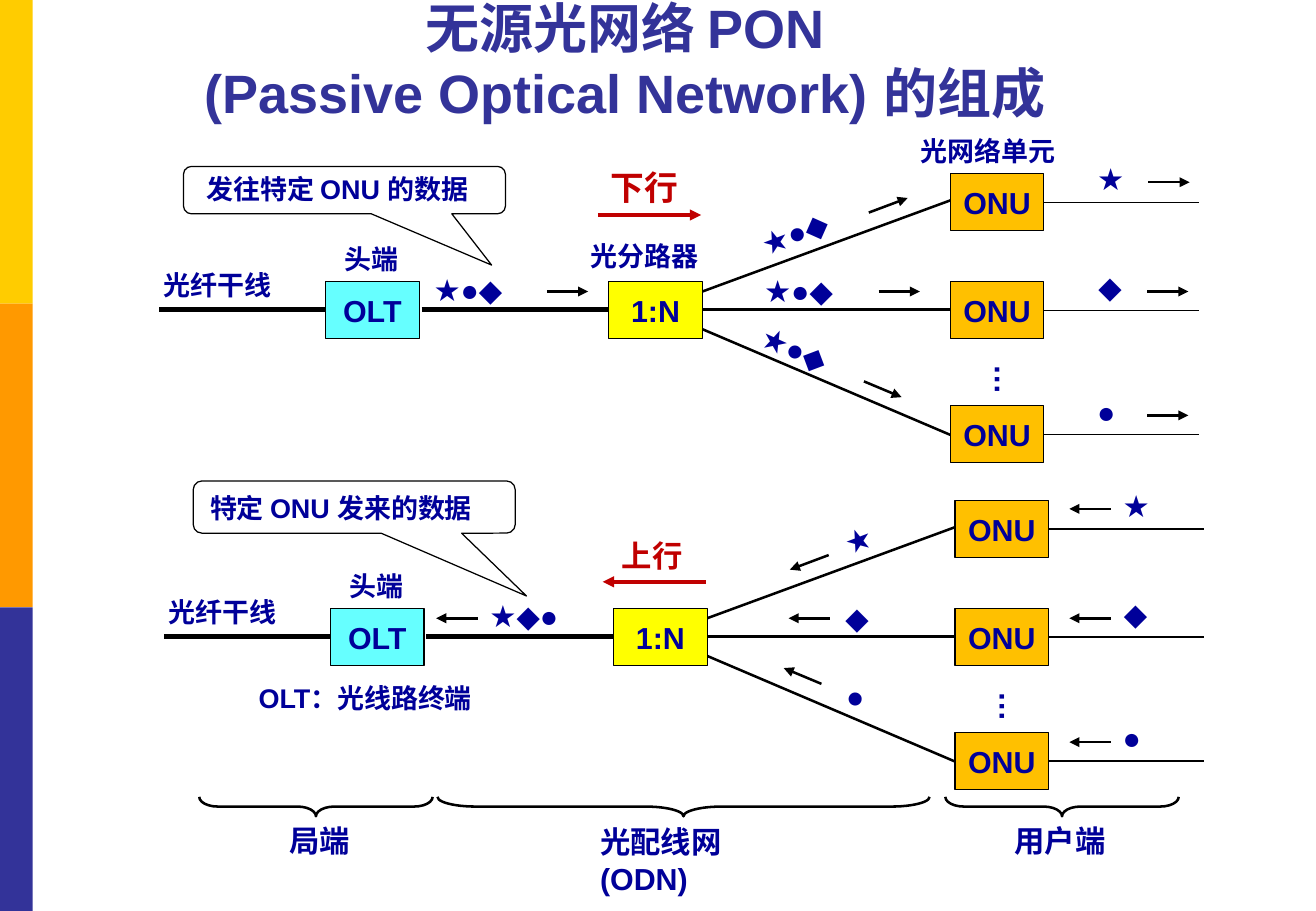
from pptx import Presentation
from pptx.dml.color import RGBColor
from pptx.enum.shapes import MSO_CONNECTOR, MSO_SHAPE
from pptx.enum.text import MSO_ANCHOR, PP_ALIGN
from pptx.oxml.ns import qn
from pptx.util import Inches, Pt
from lxml import etree

RECT = MSO_SHAPE.RECTANGLE
CALLOUT = MSO_SHAPE.ROUNDED_RECTANGULAR_CALLOUT
BRACE = MSO_SHAPE.LEFT_BRACE
STRAIGHT = MSO_CONNECTOR.STRAIGHT
TOP, MIDDLE, BOTTOM = MSO_ANCHOR.TOP, MSO_ANCHOR.MIDDLE, MSO_ANCHOR.BOTTOM
LEFT, CENTER = PP_ALIGN.LEFT, PP_ALIGN.CENTER
COLORS = {
    "gold": "FFCC00", "orange": "FF9900", "indigo": "333399", "navy": "000099",
    "black": "000000", "red": "C00000", "cyan": "66FFFF", "yellow": "FFFF00",
    "amber": "FFC000",
}
NODE_W, NODE_H = 0.77, 0.47
OLT_X, SPLITTER_X, ONU_X = 1.37, 3.7, 6.51
ONU_ROWS = (0, 0.89, 1.91)
TRUNK_Y = 1.12

DOWNSTREAM = {
    "callout": (0.2, -0.06, 0.39, (0.457, 1.582, 0.167)),
    "message": ("发往特定 ONU 的数据", 0.29, -0.06),
    "direction": ("下行", 3.62, -0.11, 20),
    "direction_arrow": (3.61, 0.34, 4.46, 0.34),
    "packets": [
        ("★●◆", 2.16, 0.75, 0), ("★●◆", 4.88, 0.76, 0),
        ("★●◆", 4.84, 1.28, 24.4), ("★●◆", 4.84, 0.25, 339),
        ("★", 7.62, -0.16, 0), ("◆", 7.63, 0.73, 0), ("●", 7.62, 1.76, 0),
    ],
    "arrows": [
        (3.19, 0.97, 3.53, 0.97), (5.84, 0.32, 6.16, 0.2),
        (5.92, 0.97, 6.26, 0.97), (5.8, 1.71, 6.11, 1.84),
        (8.14, 0.07, 8.48, 0.07), (8.13, 0.97, 8.47, 0.97),
        (8.13, 1.99, 8.47, 1.99),
    ],
    "labels": [("光分路器", 3.45, 0.49, None), ("光网络单元", 6.17, -0.37, None)],
}
UPSTREAM = {
    "callout": (0.24, -0.16, 0.43, (0.535, 1.704, 0.167)),
    "message": ("特定 ONU 发来的数据", 0.28, -0.12),
    "direction": ("上行", 3.67, 0.25, 18),
    "direction_arrow": (4.46, 0.67, 3.61, 0.67),
    "packets": [
        ("★◆●", 2.58, 0.75, 0), ("★", 5.5, 0.11, 339), ("◆", 5.51, 0.76, 0),
        ("●", 5.52, 1.44, 24.4),
        ("★", 7.79, -0.16, 0), ("◆", 7.8, 0.73, 0), ("●", 7.79, 1.75, 0),
    ],
    "arrows": [
        (2.58, 0.97, 2.24, 0.97), (5.47, 0.45, 5.15, 0.57),
        (5.48, 0.97, 5.14, 0.97), (5.41, 1.51, 5.1, 1.38),
        (7.79, 0.07, 7.45, 0.07), (7.79, 0.97, 7.45, 0.97),
        (7.79, 1.99, 7.45, 1.99),
    ],
    "labels": [("OLT：光线路终端", 0.68, 1.44, 2.25)],
}


def rgb(name):
    return RGBColor.from_string(COLORS[name])


def add_line(page, x1, y1, x2, y2, width, color="black", arrow=False):
    line = page.shapes.add_connector(
        STRAIGHT, Inches(x1), Inches(y1), Inches(x2), Inches(y2))
    line.line.color.rgb = rgb(color)
    line.line.width = Pt(width)
    if arrow:
        outline = line.line._get_or_add_ln()
        etree.SubElement(outline, qn("a:tailEnd"), type="triangle")
    etree.SubElement(line._element.spPr, qn("a:effectLst"))


def add_shape(page, kind, x, y, w, h, fill=None, line=None):
    shape = page.shapes.add_shape(kind, Inches(x), Inches(y), Inches(w), Inches(h))
    shape.shadow.inherit = False
    if fill:
        shape.fill.solid()
        shape.fill.fore_color.rgb = rgb(fill)
    else:
        shape.fill.background()
    if line:
        shape.line.color.rgb = rgb("black")
        shape.line.width = Pt(line)
    else:
        shape.line.fill.background()
    return shape


def write(box, lines, size, color="navy", align=LEFT, anchor=TOP, wrap=True):
    frame = box.text_frame
    frame.word_wrap = wrap
    frame.vertical_anchor = anchor
    for index, text in enumerate(lines):
        para = frame.add_paragraph() if index else frame.paragraphs[0]
        para.alignment = align
        span = para.add_run()
        span.text = text
        span.font.name = "Arial"
        span.font.size = Pt(size)
        span.font.bold = True
        span.font.color.rgb = rgb(color)


def add_label(page, text, x, y, size=16, width=None, color="navy", rotation=0):
    width = width or len(text) * size / 72 + 0.22
    height = size * 0.0167 + 0.1
    box = page.shapes.add_textbox(Inches(x), Inches(y), Inches(width), Inches(height))
    box.rotation = rotation
    write(box, [text], size, color)


def add_node(page, text, x, y, fill):
    node = add_shape(page, RECT, x, y, NODE_W, NODE_H, fill, 0.75)
    write(node, [text], 18, align=CENTER, anchor=MIDDLE, wrap=False)


def draw_side_bar(page, left, top, width, height):
    band = height / 3
    for index, color in enumerate(("gold", "orange", "indigo")):
        add_shape(page, RECT, left, top + index * band, width, band, color)


def draw_title(page, left, top, width, height):
    box = page.shapes.add_textbox(
        Inches(left), Inches(top), Inches(width), Inches(height))
    lines = ["无源光网络 PON", "(Passive Optical Network) 的组成"]
    write(box, lines, 32, "indigo", CENTER, BOTTOM)


def draw_network(page, left, top):
    trunk = top + TRUNK_Y
    add_line(page, left, trunk, left + OLT_X, trunk, 3)
    add_line(page, left + 2.16, trunk, left + SPLITTER_X, trunk, 3)
    for row, start, end in zip(ONU_ROWS, (0.97, TRUNK_Y, 1.28), (0.22, TRUNK_Y, 2.15)):
        add_line(page, left + SPLITTER_X + NODE_W, top + start,
                 left + ONU_X, top + end, 1.5)
        exit_y = top + row + NODE_H / 2
        add_line(page, left + ONU_X + NODE_W, exit_y, left + 8.56, exit_y, 0.75)
        add_node(page, "ONU", left + ONU_X, top + row, "amber")
    add_node(page, "OLT", left + OLT_X, top + ONU_ROWS[1], "cyan")
    add_node(page, "1:N", left + SPLITTER_X, top + ONU_ROWS[1], "yellow")
    add_label(page, "头端", left + 1.43, top + 0.52)
    add_label(page, "光纤干线", left - 0.06, top + 0.73)
    add_label(page, "…", left + 6.77, top + 1.48, 18, 0.41, rotation=90)


def draw_traffic(page, left, top, flow):
    x, y, height, adjustments = flow["callout"]
    bubble = add_shape(page, CALLOUT, left + x, top + y, 2.65, height, line=0.75)
    for index, value in enumerate(adjustments):
        bubble.adjustments[index] = value
    text, x, y = flow["message"]
    add_label(page, text, left + x, top + y, width=2.38)
    text, x, y, size = flow["direction"]
    add_label(page, text, left + x, top + y, size, color="red")
    x1, y1, x2, y2 = flow["direction_arrow"]
    add_line(page, left + x1, top + y1, left + x2, top + y2, 2.25, "red", True)
    for text, x, y, rotation in flow["packets"]:
        add_label(page, text, left + x, top + y, 18, rotation=rotation)
    for x1, y1, x2, y2 in flow["arrows"]:
        add_line(page, left + x1, top + y1, left + x2, top + y2, 1.5, arrow=True)
    for text, x, y, width in flow["labels"]:
        add_label(page, text, left + x, top + y, width=width)


def draw_sections(page, left, top):
    sections = [
        ("局端", 0, 1.92, 0.955, 0.64, 0.16, None),
        ("光配线网 (ODN)", 1.96, 4.05, 1.973, 3.2, 0.17, 1.95),
        ("用户端", 6.14, 1.92, 0.955, 6.61, 0.16, None),
    ]
    depth = 0.16
    for text, x, span, curve, label_x, label_y, width in sections:
        brace = add_shape(page, BRACE, left + x + (span - depth) / 2,
                          top + (depth - span) / 2, depth, span, line=1.5)
        brace.rotation = 270
        brace.adjustments[0] = curve
        add_label(page, text, left + label_x, top + label_y, 18, width)


def main():
    deck = Presentation()
    deck.slide_width, deck.slide_height = Inches(10.83), Inches(7.5)
    page = deck.slides.add_slide(deck.slide_layouts[6])
    draw_side_bar(page, 0, 0, 0.27, 7.5)
    draw_title(page, 0.62, 0.13, 9.05, 0.94)
    for left, top, flow in ((1.31, 1.43, DOWNSTREAM), (1.35, 4.12, UPSTREAM)):
        draw_network(page, left, top)
        draw_traffic(page, left, top, flow)
    draw_sections(page, 1.64, 6.56)
    deck.save("out.pptx")


if __name__ == "__main__":
    main()
